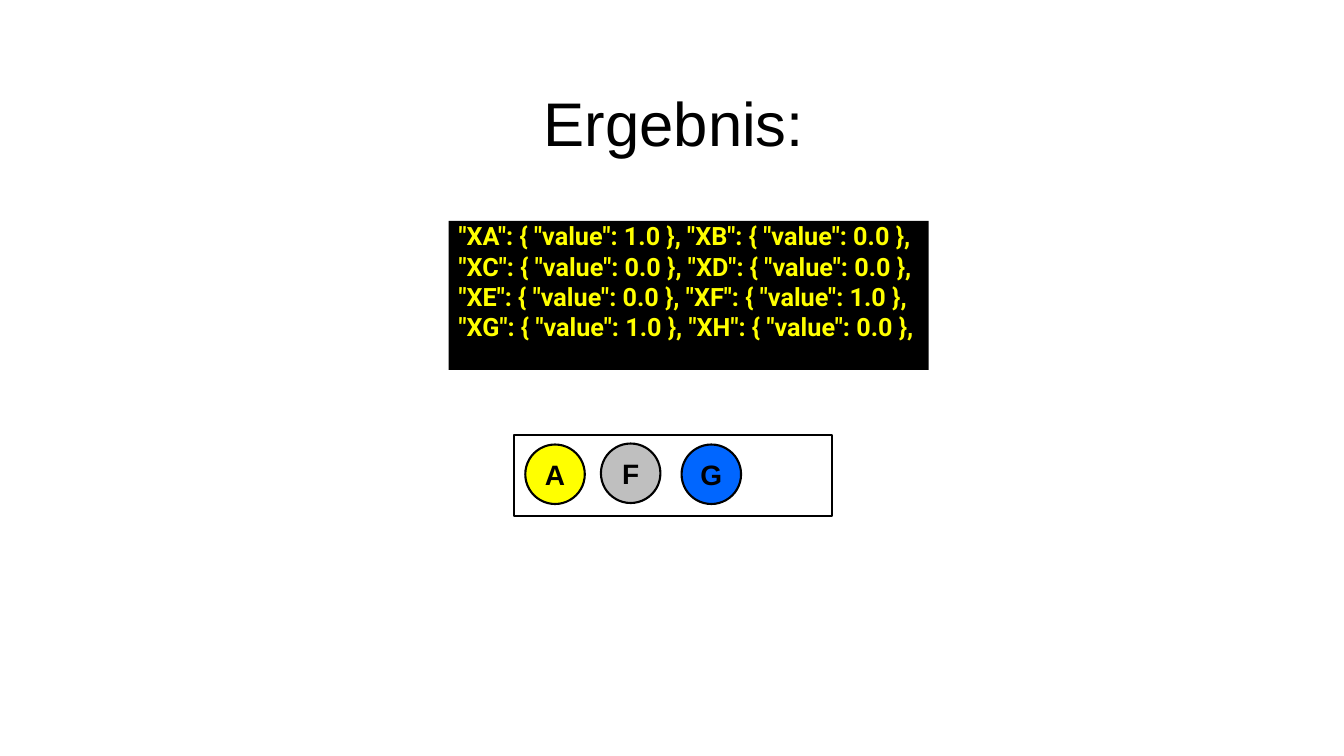
from dataclasses import dataclass

from pptx import Presentation, util as u
from pptx.dml.color import RGBColor
from pptx.enum import shapes, text

PX = 9144
BLACK, WHITE, YELLOW = "000000", "FFFFFF", "FFFF00"


@dataclass(frozen=True)
class Box:
    left: int
    top: int
    width: int
    height: int

    def emu(self) -> list[u.Emu]:
        return [u.Emu(px * PX) for px in (self.left, self.top, self.width, self.height)]


@dataclass(frozen=True)
class Ball:
    letter: str
    left: int
    top: int
    fill: str


TRAY = Box(510, 432, 315, 80)
RESULT = Box(445, 219, 476, 148)
HEADING = Box(437, -205, 463, 369)
BALL_SIZE = 59
BALLS = [
    Ball("A", 521, 441, YELLOW),
    Ball("F", 596, 440, "BFBFBF"),
    Ball("G", 676, 441, "0066FF"),
]
VALUES = [
    ("XA", 1.0, "XB", 0.0),
    ("XC", 0.0, "XD", 0.0),
    ("XE", 0.0, "XF", 1.0),
    ("XG", 1.0, "XH", 0.0),
]


def colour(value: str) -> RGBColor:
    return RGBColor.from_string(value)


def add_panel(slide, kind, box: Box, fill: str, outline: str | None = None):
    panel = slide.shapes.add_shape(kind, *box.emu())
    panel.shadow.inherit = False
    panel.fill.solid()
    panel.fill.fore_color.rgb = colour(fill)
    if outline:
        panel.line.color.rgb = colour(outline)
        panel.line.width = u.Pt(1.5)
    else:
        panel.line.fill.background()
    return panel


def write(frame, lines: list[str], *, size: int, font: str = "Arial", ink: str = BLACK,
          bold: bool = False, align=text.PP_ALIGN.CENTER,
          anchor=text.MSO_ANCHOR.MIDDLE, spacing: float = 1.0) -> None:
    frame.word_wrap = True
    frame.auto_size = text.MSO_AUTO_SIZE.NONE
    frame.vertical_anchor = anchor
    for index, line in enumerate(lines):
        paragraph = frame.add_paragraph() if index else frame.paragraphs[0]
        paragraph.alignment = align
        paragraph.line_spacing = spacing
        run = paragraph.add_run()
        run.text = line
        run.font.size = u.Pt(size)
        run.font.name = font
        run.font.bold = bold
        run.font.color.rgb = colour(ink)


def add_ball(slide, ball: Ball) -> None:
    box = Box(ball.left, ball.top, BALL_SIZE, BALL_SIZE)
    disc = add_panel(slide, shapes.MSO_SHAPE.OVAL, box, ball.fill, BLACK)
    frame = disc.text_frame
    frame.margin_left = frame.margin_right = 0
    write(frame, [ball.letter], size=20, bold=True)


def add_result(slide) -> None:
    panel = add_panel(slide, shapes.MSO_SHAPE.RECTANGLE, RESULT, BLACK)
    panel.text_frame.margin_top = 0
    lines = [
        f'"{first}": {{ "value": {a} }}, "{second}": {{ "value": {b} }},'
        for first, a, second, b in VALUES
    ]
    write(panel.text_frame, lines, size=18, font="Roboto", ink=YELLOW, bold=True,
          align=text.PP_ALIGN.LEFT, anchor=text.MSO_ANCHOR.TOP)


def main() -> None:
    """Build the slide that shows which balls the solver selected."""
    deck = Presentation()
    deck.slide_width, deck.slide_height = u.Emu(1333 * PX), u.Emu(750 * PX)
    slide = deck.slides.add_slide(deck.slide_layouts[5])
    slide.background.fill.solid()
    slide.background.fill.fore_color.rgb = colour(WHITE)

    heading = slide.shapes.title
    heading.left, heading.top, heading.width, heading.height = HEADING.emu()
    write(heading.text_frame, ["Ergebnis:"], size=44,
          anchor=text.MSO_ANCHOR.BOTTOM, spacing=0.9)

    add_panel(slide, shapes.MSO_SHAPE.RECTANGLE, TRAY, WHITE, BLACK)
    for ball in BALLS:
        add_ball(slide, ball)
    add_result(slide)
    deck.save("out.pptx")


if __name__ == "__main__":
    main()
